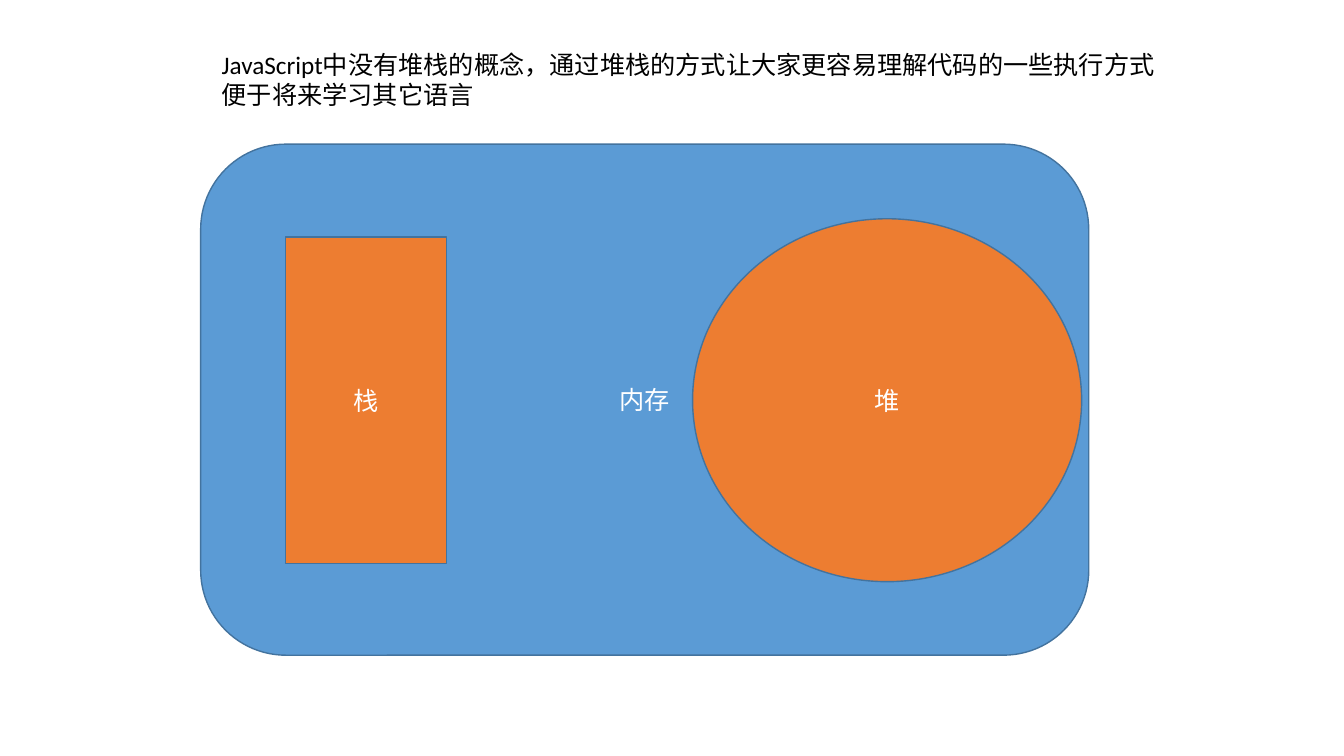
from dataclasses import dataclass
from typing import NamedTuple

from pptx import Presentation
from pptx.dml.color import RGBColor
from pptx.enum.shapes import MSO_SHAPE
from pptx.enum.text import MSO_ANCHOR, MSO_AUTO_SIZE, PP_ALIGN
from pptx.util import Inches, Pt


@dataclass(frozen=True)
class Theme:
    font: str = "Calibri"
    size: int = 18
    line_width: int = 1
    memory: str = "5B9BD5"
    region: str = "ED7D31"
    outline: str = "43739E"
    label: str = "FFFFFF"
    caption: str = "000000"


class Box(NamedTuple):
    left: int
    top: int
    width: int
    height: int

    def share(self, left, top, width, height):
        return Box(
            round(self.left + self.width * left / 100),
            round(self.top + self.height * top / 100),
            round(self.width * width / 100),
            round(self.height * height / 100),
        )


THEME = Theme()


def apply_format(target, values):
    for name, value in values.items():
        setattr(target, name, value)


def write_text(frame, lines, color, align):
    for index, line in enumerate(lines):
        para = frame.paragraphs[0] if index == 0 else frame.add_paragraph()
        para.alignment = align
        span = para.add_run()
        span.text = line
        apply_format(span.font, {"name": THEME.font, "size": Pt(THEME.size)})
        span.font.color.rgb = RGBColor.from_string(color)


def add_region(page, box, kind, fill, label):
    shape = page.shapes.add_shape(kind, *box)
    shape.shadow.inherit = False
    shape.fill.solid()
    shape.fill.fore_color.rgb = RGBColor.from_string(fill)
    shape.line.color.rgb = RGBColor.from_string(THEME.outline)
    shape.line.width = Pt(THEME.line_width)
    apply_format(shape.text_frame, {"word_wrap": True, "vertical_anchor": MSO_ANCHOR.MIDDLE})
    write_text(shape.text_frame, [label], THEME.label, PP_ALIGN.CENTER)


def add_caption(page, box):
    frame = page.shapes.add_textbox(*box).text_frame
    apply_format(frame, {"word_wrap": False, "auto_size": MSO_AUTO_SIZE.SHAPE_TO_FIT_TEXT})
    lines = [
        "JavaScript中没有堆栈的概念，通过堆栈的方式让大家更容易理解代码的一些执行方式",
        "便于将来学习其它语言",
    ]
    write_text(frame, lines, THEME.caption, PP_ALIGN.LEFT)


def add_memory(page, box):
    add_region(page, box, MSO_SHAPE.ROUNDED_RECTANGLE, THEME.memory, "内存")
    stack = box.share(9.53, 18.15, 18.16, 63.91)
    heap = box.share(55.39, 14.6, 43.81, 71.01)
    add_region(page, stack, MSO_SHAPE.RECTANGLE, THEME.region, "栈")
    add_region(page, heap, MSO_SHAPE.OVAL, THEME.region, "堆")


def build_memory_slide(deck):
    page = deck.slides.add_slide(deck.slide_layouts[6])
    area = Box(0, 0, deck.slide_width, deck.slide_height)
    add_memory(page, area.share(14.93, 19.07, 66.08, 67.6))
    add_caption(page, area.share(15.75, 5.87, 71.63, 9.47))


deck = Presentation()
apply_format(deck, {"slide_width": Inches(13.33), "slide_height": Inches(7.5)})
build_memory_slide(deck)
deck.save("out.pptx")
